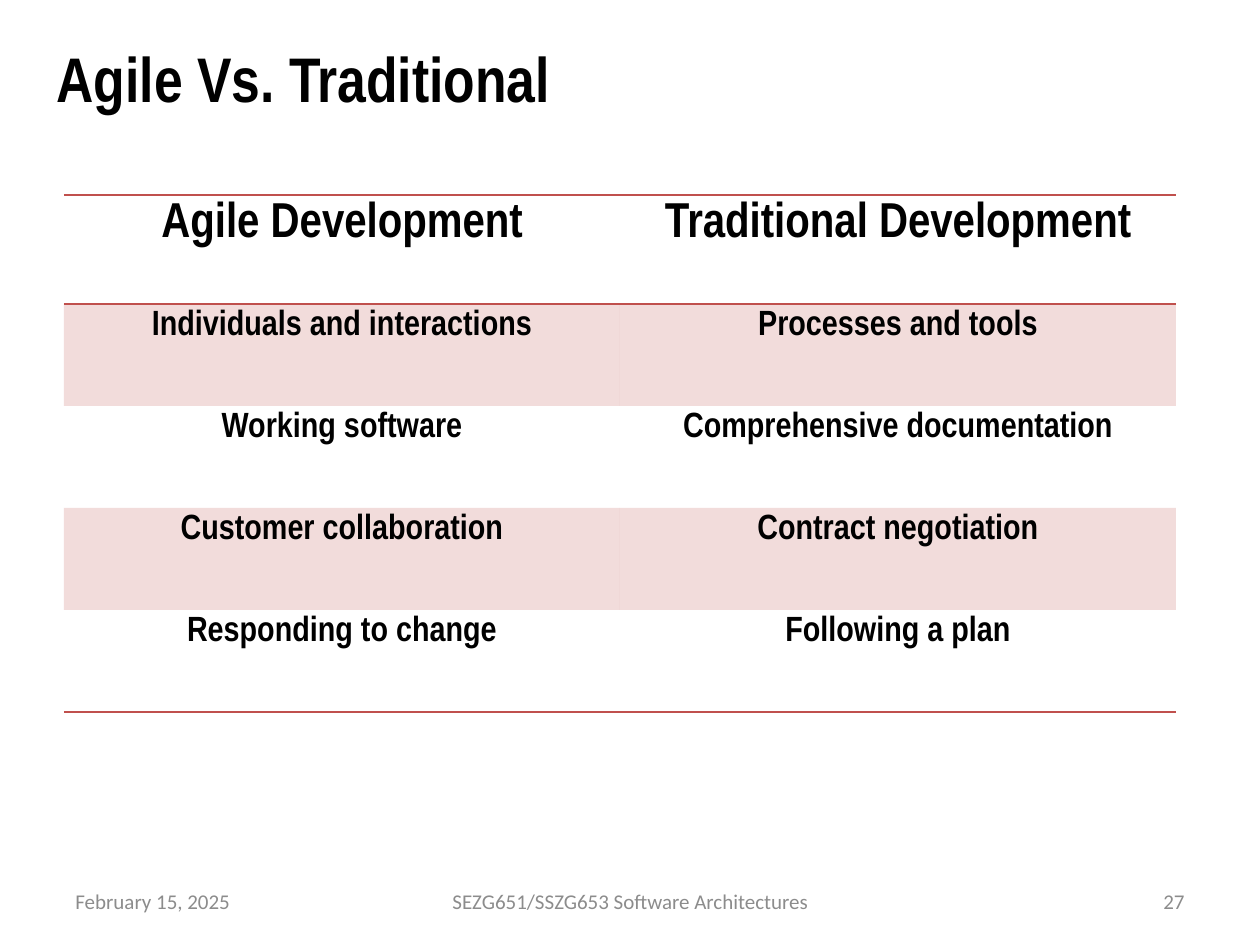
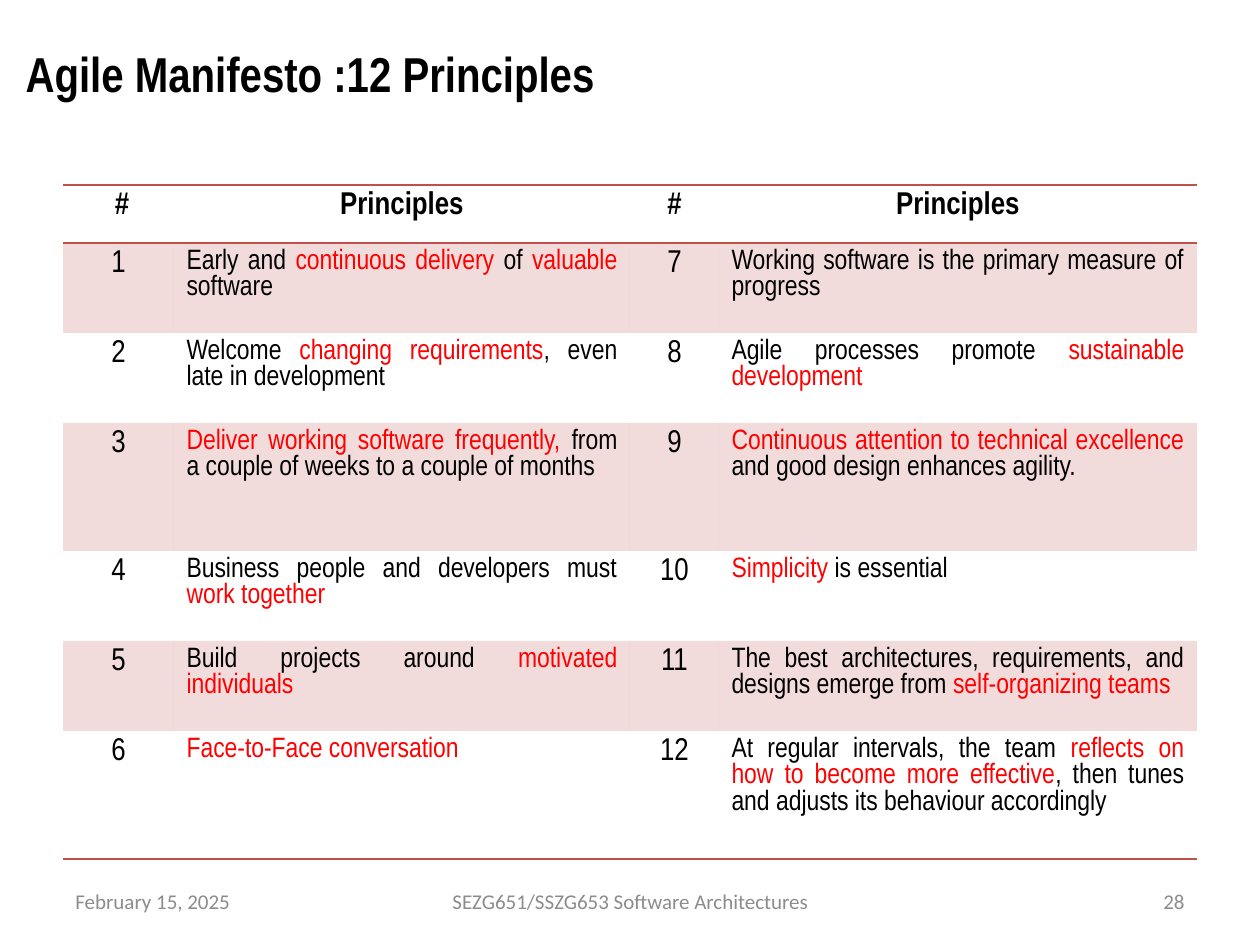
from lxml.etree import SubElement
from pptx import Presentation
from pptx.dml.color import RGBColor
from pptx.enum.text import MSO_ANCHOR, MSO_AUTO_SIZE, PP_ALIGN
from pptx.oxml import parse_xml
from pptx.oxml.ns import nsdecls, qn
from pptx.util import Emu, Pt

PAGE_WIDTH, PAGE_HEIGHT = 1260, 945
HEADING_FONT, FOOTER_FONT = "Arial Narrow", "Calibri"
BLACK, WHITE, RED, GREY, ACCENT = "000000", "FFFFFF", "FF0000", "8C8C8C", "C0504D"
PLAIN_TABLE_STYLE = "{2D5ABB26-0587-4C30-8999-92F81FD0307C}"
FOOTER_TOP, FOOTER_HEIGHT = 876, 50

VALUES = [
    ("Agile Development", "Traditional Development"),
    ("Individuals and interactions", "Processes and tools"),
    ("Working software", "Comprehensive documentation"),
    ("Customer collaboration", "Contract negotiation"),
    ("Responding to change", "Following a plan"),
]

PRINCIPLES = [
    "Early and *continuous delivery* of *valuable* software",
    "Welcome *changing requirements*, even late in development",
    "*Deliver working software frequently, *from a couple of weeks to a couple of months",
    "Business people and developers must *work together*",
    "Build projects around *motivated individuals*",
    "*Face-to-Face conversation*",
    "Working software is the primary measure of progress",
    "Agile processes promote *sustainable development*",
    "*Continuous attention to technical excellence *and good design enhances agility.",
    "*Simplicity* is essential",
    "The best architectures, requirements, and designs emerge from *self-organizing teams*",
    "At regular intervals, the team *reflects on how to become more effective*, "
    "then tunes and adjusts its behaviour accordingly",
]


def px(length):
    return Emu(round(length * 914400 / 126))


def color(value):
    return RGBColor.from_string(value)


def format_span(span, size, value=BLACK, bold=False, name=HEADING_FONT):
    span.font.name = name
    span.font.size = Pt(size)
    span.font.bold = bold
    span.font.color.rgb = color(value)


def write_marked(frame, text, size, align, bold=False):
    para = frame.paragraphs[0]
    para.alignment = align
    for index, part in enumerate(text.split("*")):
        if part:
            span = para.add_run()
            span.text = part
            format_span(span, size, RED if index % 2 else BLACK, bold)


def add_title(page, box, text, size):
    title = page.shapes.title
    title.left, title.top, title.width, title.height = map(px, box)
    title.fill.solid()
    title.fill.fore_color.rgb = color(WHITE)
    frame = title.text_frame
    frame.text = text
    frame.word_wrap = True
    frame.auto_size = MSO_AUTO_SIZE.NONE
    frame.vertical_anchor = MSO_ANCHOR.MIDDLE
    para = frame.paragraphs[0]
    para.alignment = PP_ALIGN.LEFT
    format_span(para.runs[0], size, bold=True)


def add_footer(page, number):
    parts = [
        (63, 294, "February 15, 2025", PP_ALIGN.LEFT),
        (431, 399, "SEZG651/SSZG653 Software Architectures", PP_ALIGN.CENTER),
        (903, 294, str(number), PP_ALIGN.RIGHT),
    ]
    for left, width, text, align in parts:
        box = page.shapes.add_textbox(px(left), px(FOOTER_TOP), px(width), px(FOOTER_HEIGHT))
        frame = box.text_frame
        frame.text = text
        frame.word_wrap = True
        frame.vertical_anchor = MSO_ANCHOR.MIDDLE
        para = frame.paragraphs[0]
        para.alignment = align
        format_span(para.runs[0], 12, GREY, name=FOOTER_FONT)


def add_rule(cell, side):
    cell._tc.get_or_add_tcPr().insert(0, parse_xml(
        f'<a:{side} {nsdecls("a")} w="12700"><a:solidFill>'
        f'<a:srgbClr val="{ACCENT}"/></a:solidFill></a:{side}>'))


def fill_band(cell, banded):
    if not banded:
        cell.fill.background()
        return
    cell.fill.solid()
    cell.fill.fore_color.rgb = color(ACCENT)
    shade = cell._tc.tcPr.find(".//" + qn("a:srgbClr"))
    SubElement(shade, qn("a:alpha")).set("val", "20000")


def add_banded_table(page, left, top, widths, heights):
    frame = page.shapes.add_table(len(heights), len(widths), px(left), px(top),
                                  px(sum(widths)), px(sum(heights)))
    table = frame.table
    table._tbl.tblPr.find(qn("a:tableStyleId")).text = PLAIN_TABLE_STYLE
    for column, width in zip(table.columns, widths):
        column.width = px(width)
    last = len(heights) - 1
    for index, (row, height) in enumerate(zip(table.rows, heights)):
        row.height = px(height)
        for cell in row.cells:
            fill_band(cell, index % 2 == 1)
            if index in (0, last):
                add_rule(cell, "lnB")
            if index == 0:
                add_rule(cell, "lnT")
    return table


def add_page(deck, number, title_box, title, size):
    page = deck.slides.add_slide(deck.slide_layouts[5])
    add_title(page, title_box, title, size)
    add_footer(page, number)
    return page


def add_comparison_page(deck):
    page = add_page(deck, 27, (44, 29, 706, 97), "Agile Vs. Traditional", 36)
    table = add_banded_table(page, 64, 195, [556] * 2, [109] + [102] * 4)
    for index, (row, texts) in enumerate(zip(table.rows, VALUES)):
        for cell, text in zip(row.cells, texts):
            write_marked(cell.text_frame, text, 20 if index else 28, PP_ALIGN.CENTER, True)


def add_principles_page(deck):
    page = add_page(deck, 28, (13, 19, 1024, 107), "Agile Manifesto :12 Principles", 28)
    table = add_banded_table(page, 63, 185, [111, 456, 89, 478],
                             [58, 90, 90, 128, 90, 90, 128])
    for column, text in enumerate([" #", "Principles", "#", "Principles"]):
        write_marked(table.cell(0, column).text_frame, text, 18, PP_ALIGN.CENTER, True)
    per_column = len(PRINCIPLES) // 2
    for index, text in enumerate(PRINCIPLES):
        half, row = divmod(index, per_column)
        number_cell = table.cell(row + 1, 2 * half)
        principle_cell = table.cell(row + 1, 2 * half + 1)
        write_marked(number_cell.text_frame, str(index + 1), 18, PP_ALIGN.CENTER)
        write_marked(principle_cell.text_frame, text, 16, PP_ALIGN.JUSTIFY)


def main():
    deck = Presentation()
    deck.slide_width, deck.slide_height = px(PAGE_WIDTH), px(PAGE_HEIGHT)
    add_comparison_page(deck)
    add_principles_page(deck)
    deck.save("out.pptx")


if __name__ == "__main__":
    main()
